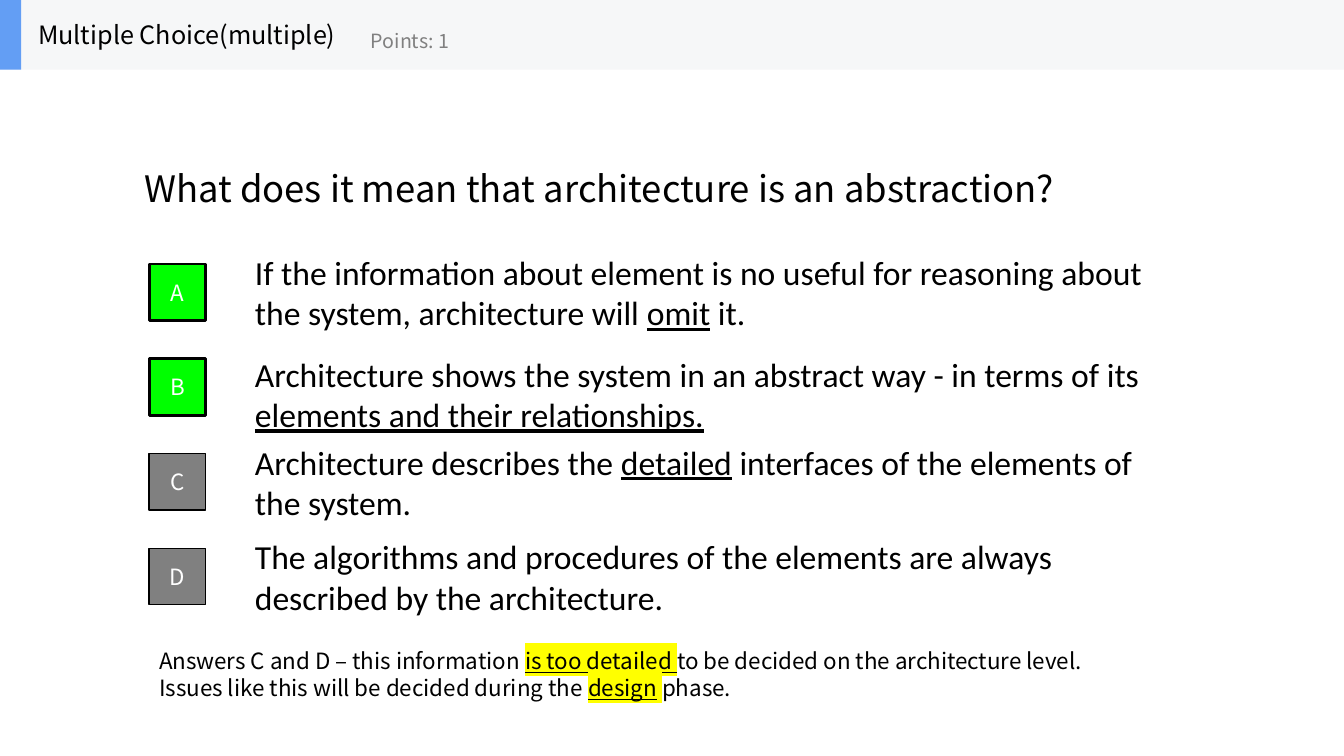
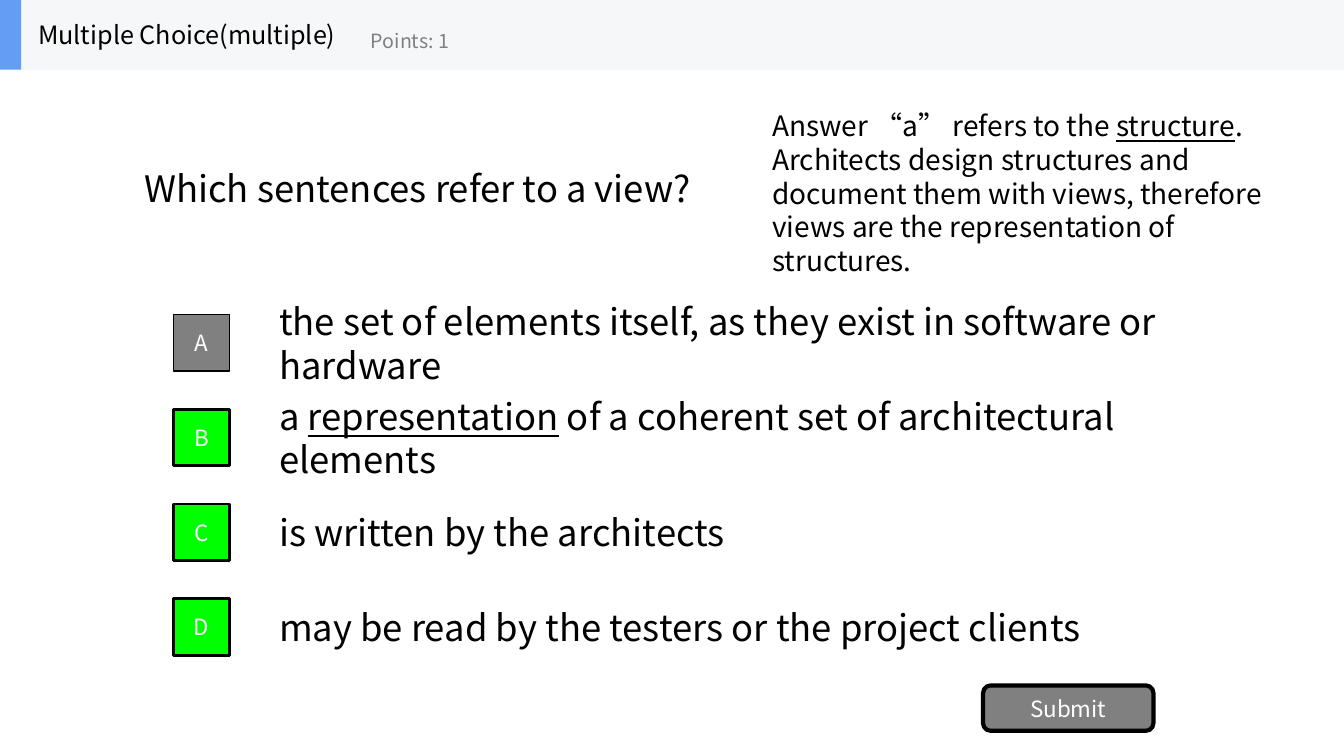
from lxml import etree
from pptx import Presentation
from pptx.dml.color import RGBColor
from pptx.enum import shapes, text
from pptx.oxml import ns
from pptx.util import Inches, Pt

BLACK = RGBColor(0x00, 0x00, 0x00)
WHITE = RGBColor(0xFF, 0xFF, 0xFF)
GREY = RGBColor(0x80, 0x80, 0x80)
GREEN = RGBColor(0x00, 0xFF, 0x00)
BLUE = RGBColor(0x63, 0x9E, 0xF4)
BAND = RGBColor(0xF6, 0xF7, 0xF8)
YELLOW = RGBColor(0xFF, 0xFF, 0x00)

SANS, CALIBRI = "Noto Sans CJK SC", "Calibri"
RECT = shapes.MSO_SHAPE.RECTANGLE
ROUNDED = shapes.MSO_SHAPE.ROUNDED_RECTANGLE
LEFT, CENTER = text.PP_ALIGN.LEFT, text.PP_ALIGN.CENTER
TOP, MIDDLE = text.MSO_ANCHOR.TOP, text.MSO_ANCHOR.MIDDLE

SLIDE_W, SLIDE_H, BAND_H = 13.33, 7.5, 0.69
BADGE, ROW_PITCH = 0.56, 0.94
OPTION_DX, OPTION_W, OPTION_H = 0.95, 9.33, 0.7


def highlight(r, color):
    """Mark a run; the highlight follows the fill in the run properties."""
    rPr = r.font._element if hasattr(r.font, "_element") else r._r.get_or_add_rPr()
    mark = etree.Element(ns.qn("a:highlight"))
    etree.SubElement(mark, ns.qn("a:srgbClr"), val=str(color))
    rPr.find(ns.qn("a:solidFill")).addnext(mark)


def write(sp, parts, size=16, font=SANS, color=BLACK, align=LEFT,
          anchor=MIDDLE, wrap=True):
    """Fill a shape with text; a part is a string or (string, underline, marker)."""
    tf = sp.text_frame
    tf.word_wrap = wrap
    tf.auto_size = text.MSO_AUTO_SIZE.NONE
    tf.vertical_anchor = anchor
    p = tf.paragraphs[0]
    p.alignment = align
    for part in [parts] if isinstance(parts, str) else parts:
        words, underline, marker = (part, False, None) if isinstance(part, str) else part
        r = p.add_run()
        r.text = words
        r.font.size = Pt(size)
        r.font.color.rgb = color
        if underline:
            r.font.underline = True
        if marker is not None:
            highlight(r, marker)
        r.font.name = font
        ea = etree.SubElement(r._r.get_or_add_rPr(), ns.qn("a:ea"))
        ea.set("typeface", font)


def add_text(parent, box, parts, **fmt):
    sp = parent.add_textbox(*map(Inches, box))
    write(sp, parts, **fmt)


def add_box(parent, box, fill, line=0, kind=RECT):
    sp = parent.add_shape(kind, *map(Inches, box))
    sp.shadow.inherit = False
    sp.fill.solid()
    sp.fill.fore_color.rgb = fill
    if line:
        sp.line.color.rgb = BLACK
        sp.line.width = Pt(line)
    else:
        sp.line.fill.background()
    return sp


def add_header(slide):
    group = slide.shapes.add_group_shape().shapes
    add_box(group, (0, 0, SLIDE_W, BAND_H), BAND)
    add_box(group, (0, 0, 0.21, BAND_H), BLUE)
    add_text(group, (0.28, 0, 3.2, BAND_H), "Multiple Choice(multiple)", size=18, wrap=False)
    add_text(group, (3.58, 0.12, 2.5, 0.56), "Points: 1", size=14, color=GREY, wrap=False)


def add_options(slide, left, top, options, correct, nudges=(0, 0, 0, 0), **fmt):
    """Lettered badges with their answers; correct ones are green."""
    for i, (letter, option) in enumerate(zip("ABCD", options)):
        y = top + i * ROW_PITCH
        right = letter in correct
        badge = add_box(slide.shapes, (left, y, BADGE, BADGE),
                        GREEN if right else GREY, line=2 if right else 1)
        write(badge, letter, color=WHITE, align=CENTER)
        option_y = y + (BADGE - OPTION_H) / 2 + nudges[i]
        add_text(slide.shapes, (left + OPTION_DX, option_y, OPTION_W, OPTION_H),
                 option, **fmt)


def add_question(prs, question):
    """Title-only slide with the shared header and the question as its title."""
    slide = prs.slides.add_slide(prs.slide_layouts[5])
    title = slide.shapes.title
    title.left, title.top, title.width, title.height = map(
        Inches, (1.33, BAND_H, 10.67, 2.34))
    write(title, question, size=26)
    add_header(slide)
    return slide


def abstraction_slide(prs):
    slide = add_question(prs, "What does it mean that architecture is an abstraction?")
    add_options(slide, 1.48, 2.62, [
        ["If the information about element is no useful for reasoning about "
         "the system, architecture will ", ("omit", True, None), " it."],
        ["Architecture shows the system in an abstract way - in terms of its ",
         ("elements and their relationships.", True, None)],
        ["Architecture describes the ", ("detailed", True, None),
         " interfaces of the elements of the system."],
        "The algorithms and procedures of the elements are always described "
        "by the architecture.",
    ], correct="AB", nudges=(0, 0.07, 0, 0), size=24, font=CALIBRI)
    # Explanation
    add_text(slide.shapes, (1.48, 6.37, 9.83, 0.64), [
        "Answers C and D – this information ",
        ("is too detailed ", True, YELLOW),
        "to be decided on the architecture level. "
        "Issues like this will be decided during the ",
        ("design", True, YELLOW), (" ", False, YELLOW), "phase.",
    ], anchor=TOP)


def view_slide(prs):
    slide = add_question(prs, "Which sentences refer to a view?")
    add_options(slide, 1.72, 3.12, [
        "the set of elements itself, as they exist in software or hardware",
        ["a ", ("representation", True, None),
         " of a coherent set of architectural elements"],
        "is written by the architects",
        "may be read by the testers or the project clients",
    ], correct="BCD", size=26)
    # Submit button
    button = add_box(slide.shapes, (9.75, 6.8, 1.69, 0.45), GREY, line=3, kind=ROUNDED)
    write(button, "Submit", color=WHITE, align=CENTER)
    # Explanation
    add_text(slide.shapes, (7.56, 1.03, 5.49, 1.78), [
        "Answer “a” refers to the ", ("structure", True, None),
        ". Architects design structures and document them with views, "
        "therefore views are the representation of structures.",
    ], size=20, anchor=TOP)


def main():
    prs = Presentation()
    prs.slide_width, prs.slide_height = Inches(SLIDE_W), Inches(SLIDE_H)
    abstraction_slide(prs)
    view_slide(prs)
    prs.save("out.pptx")


if __name__ == "__main__":
    main()
